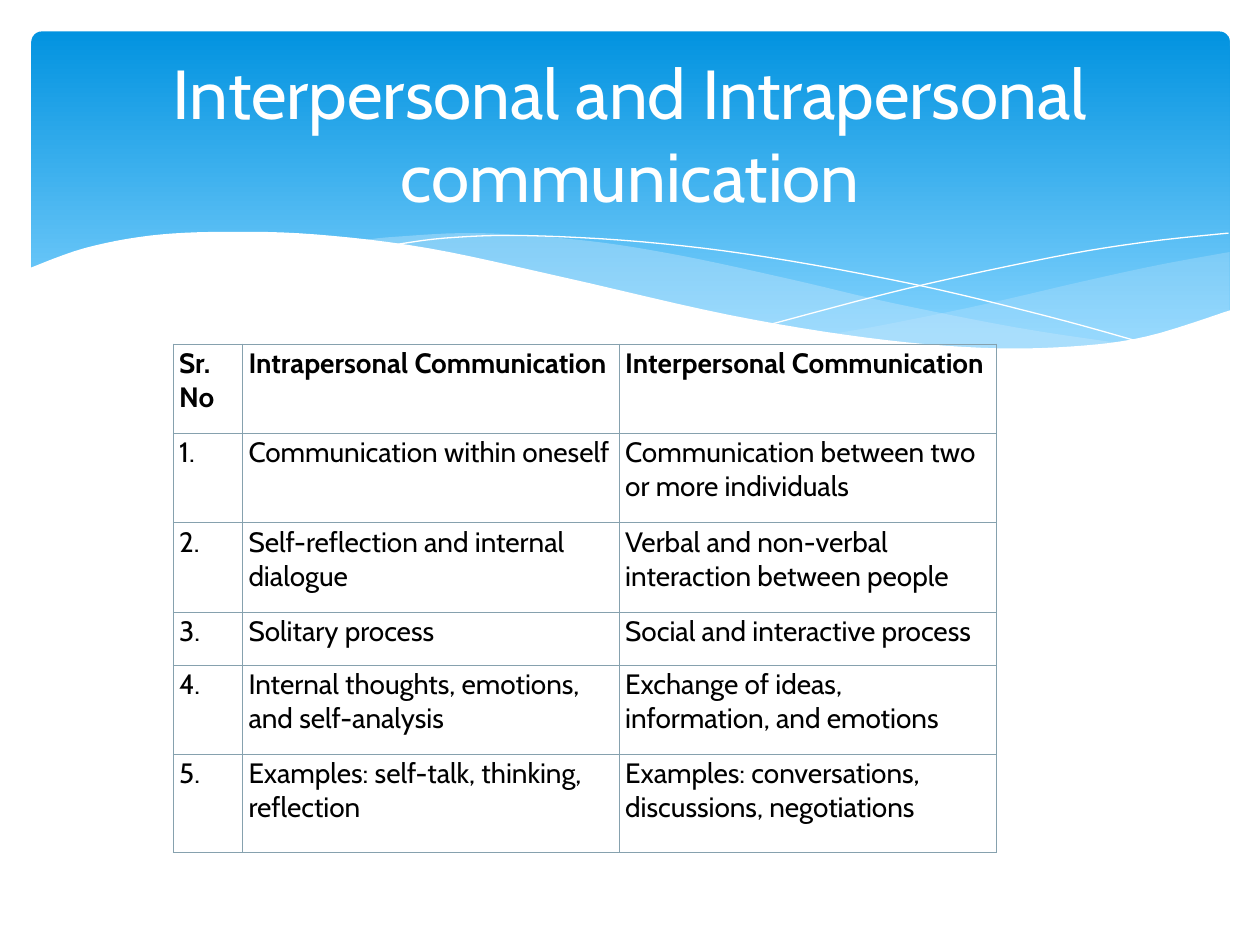
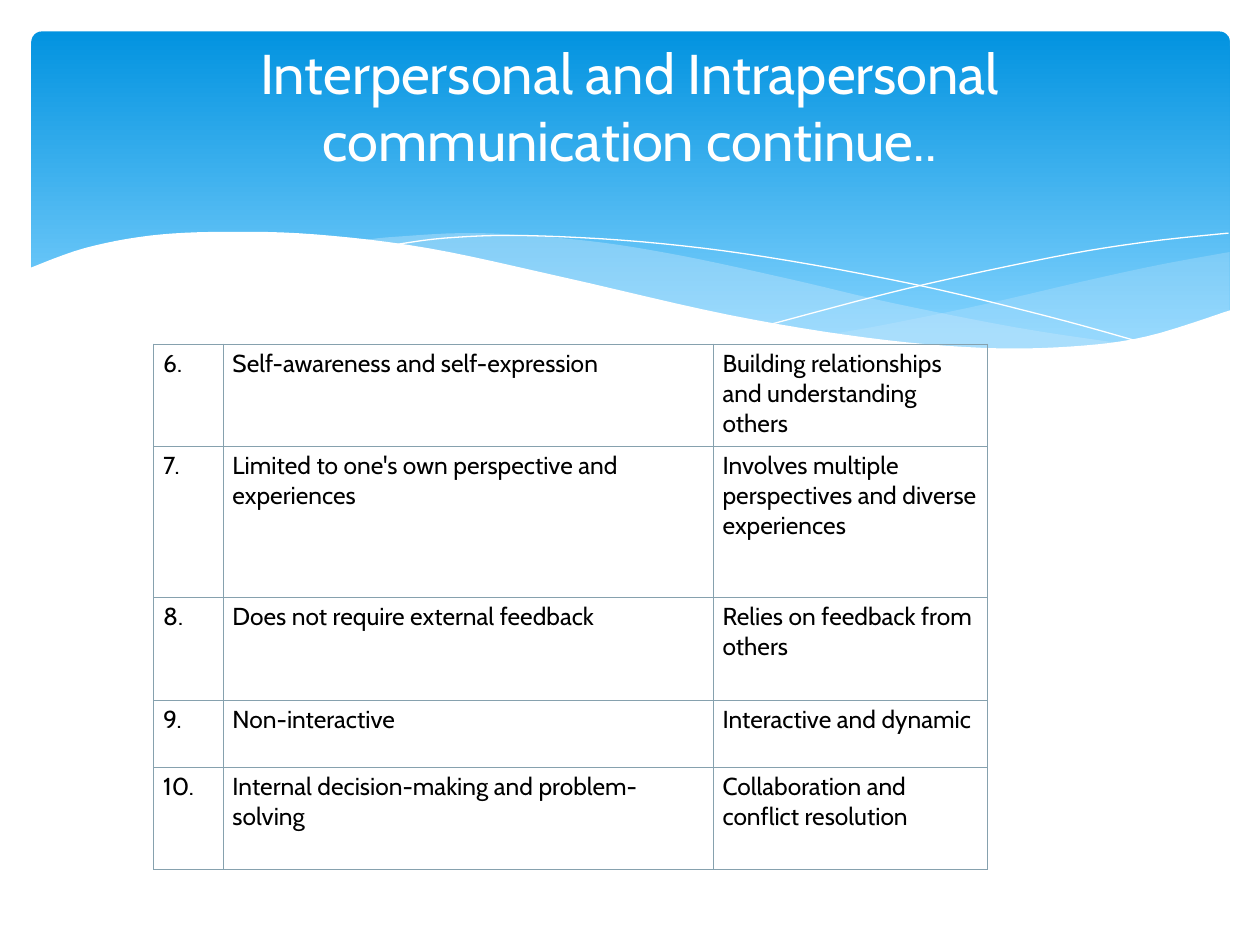
from dataclasses import dataclass

from lxml.etree import SubElement
from pptx import Presentation
from pptx.dml.color import RGBColor as Rgb
from pptx.enum.shapes import MSO_SHAPE as Shape
from pptx.enum.text import MSO_ANCHOR as Anchor, PP_ALIGN as Align
from pptx.oxml.ns import qn
from pptx.util import Emu, Inches, Pt


@dataclass(frozen=True)
class Theme:
    font: str = "Cabin"
    band_top: str = "0293E0"
    band_bottom: str = "83D3FE"
    wave: str = "C6E7FC"
    white: str = "FFFFFF"
    ink: str = "000000"
    border: str = "86A1AE"
    border_width: float = 0.6


theme = Theme()

deck = Presentation()
deck.slide_width, deck.slide_height = Inches(10), Inches(7.5)
# The grid has 40 columns and 30 rows, so its cells are square
UNIT = deck.slide_width / 40


def grid(*counts):
    """Turn counts of grid columns or rows into lengths."""
    return [Emu(round(count * UNIT)) for count in counts]


def smooth(knots, steps=6):
    """Points of a Catmull-Rom curve through the knots."""
    padded = [knots[0], *knots, knots[-1]]
    points = [knots[0]]
    for quad in zip(padded, padded[1:], padded[2:], padded[3:]):
        for step in range(1, steps + 1):
            t = step / steps
            points.append(tuple(
                (2 * b + (c - a) * t + (2 * a - 5 * b + 4 * c - d) * t ** 2
                 + (3 * b - a - 3 * c + d) * t ** 3) / 2
                for a, b, c, d in zip(*quad)))
    return points


# Waves under the band, back to front: edges, fill, opacity in percent.
# A wave without fill is a thin white line.
WAVES = [
    ([[(39.04, 8), (36.84, 8.4), (34.44, 8.92), (31.16, 9.68),
       (28.24, 10.28), (26.44, 10.6)],
      [(26.44, 10.6), (29.28, 10.96), (32.12, 11.12), (34.88, 11),
       (37.12, 10.6), (39.04, 9.88)]], theme.wave, 29),
    ([[(35.72, 10.92), (32.28, 10.4), (28.24, 9.6), (25.16, 8.88),
       (21.64, 8.12), (18.6, 7.64), (15.2, 7.4), (12.52, 7.52), (11.44, 7.64)],
      [(11.44, 7.64), (14.48, 8.12), (17.96, 8.88), (22.64, 9.92),
       (26, 10.56), (28.88, 10.96), (31.4, 11.12), (33.92, 11.08),
       (35.72, 10.92)]], theme.wave, 40),
    ([[(12.36, 7.8), (14.12, 7.56), (16.64, 7.48), (20.4, 7.68),
       (24.32, 8.16), (29.08, 9.04), (33.24, 10.04), (36.28, 10.88)]], None, 100),
    ([[(24.52, 10.28), (28.8, 9.16), (33.44, 8.16), (36.4, 7.68),
       (39, 7.4)]], None, 100),
    ([[(39.08, 9.84), (36.4, 10.68), (34, 11), (31.12, 11.04), (27.52, 10.72),
       (23.16, 10), (17.88, 8.8), (13.6, 7.88), (10, 7.44), (7.08, 7.36),
       (4.76, 7.48), (2.68, 7.88), (0.92, 8.52)],
      [(0.92, 13.16), (39.08, 13.16)]], theme.white, 100),
]

PAGES = [
    dict(
        title="Interpersonal and Intrapersonal communication",
        title_size=39.6, title_height=5.48,
        left=5.5, columns=[2.2, 11.96, 11.96],
        heights=[2.84, 2.84, 2.84, 1.68, 2.84, 3.12],
        size=16, inset_x=0.19, inset_y=0.08, header=True,
        rows=[
            ("Sr. No", "Intrapersonal Communication",
             "Interpersonal Communication"),
            ("1.", "Communication within oneself",
             "Communication between two or more individuals"),
            ("2.", "Self-reflection and internal dialogue",
             "Verbal and non-verbal interaction between people"),
            ("3.", "Solitary process", "Social and interactive process"),
            ("4.", "Internal thoughts, emotions, and self-analysis",
             "Exchange of ideas, information, and emotions"),
            ("5.", "Examples: self-talk, thinking, reflection",
             "Examples: conversations, discussions, negotiations"),
        ]),
    dict(
        title="Interpersonal and Intrapersonal communication continue..",
        title_size=32, title_height=3.76,
        left=4.88, columns=[2.2, 15.56, 8.7],
        heights=[3.24, 4.8, 3.28, 2.12, 3.24],
        size=14, inset_x=0.3, inset_y=0.15, header=False,
        rows=[
            ("6.", "Self-awareness and self-expression",
             "Building relationships and understanding others"),
            ("7.", "Limited to one's own perspective and experiences",
             "Involves multiple perspectives and diverse experiences"),
            ("8.", "Does not require external feedback",
             "Relies on feedback from others"),
            ("9.", "Non-interactive", "Interactive and dynamic"),
            ("10.", "Internal decision-making and problem-solving",
             "Collaboration and conflict resolution"),
        ]),
]

for content in PAGES:
    page = deck.slides.add_slide(deck.slide_layouts[6])

    # Gradient band
    band = page.shapes.add_shape(Shape.ROUNDED_RECTANGLE, *grid(1, 1, 38.04, 10.8))
    band.adjustments[0] = 0.03
    band.shadow.inherit = False
    band.line.fill.background()
    band.fill.gradient()
    band.fill.gradient_angle = 270
    stops = zip(band.fill.gradient_stops, (theme.band_top, theme.band_bottom), (0, 0.9))
    for stop, color, position in stops:
        stop.color.rgb = Rgb.from_string(color)
        stop.position = position

    # Waves
    for edges, fill, opacity in WAVES:
        start, *others = [grid(*point) for edge in edges for point in smooth(edge)]
        builder = page.shapes.build_freeform(*start)
        builder.add_line_segments(others, close=fill is not None)
        wave = builder.convert_to_shape()
        wave.shadow.inherit = False
        if fill:
            wave.fill.solid()
            wave.fill.fore_color.rgb = Rgb.from_string(fill)
            tint = wave.fill._xPr.find(qn("a:solidFill"))[0]
            SubElement(tint, qn("a:alpha"), val=str(opacity * 1000))
            wave.line.fill.background()
        else:
            wave.fill.background()
            wave.line.color.rgb = Rgb.from_string(theme.white)
            wave.line.width = Pt(0)

    # Comparison table
    rows = content["rows"]
    frame = page.shapes.add_table(
        len(rows), 3, *grid(content["left"], 10.92, sum(content["columns"]),
                            sum(content["heights"])))
    table = frame.table
    table.first_row = table.horz_banding = False
    for column, width in zip(table.columns, grid(*content["columns"])):
        column.width = width
    for row, height in zip(table.rows, grid(*content["heights"])):
        row.height = height

    texts = []
    inset_x, inset_y = grid(content["inset_x"], content["inset_y"])
    for row_index, row in enumerate(rows):
        for column_index, text in enumerate(row):
            cell = table.cell(row_index, column_index)
            cell.margin_left = cell.margin_right = inset_x
            cell.margin_top = cell.margin_bottom = inset_y
            properties = cell._tc.get_or_add_tcPr()
            for side in ("a:lnL", "a:lnR", "a:lnT", "a:lnB"):
                border = SubElement(properties, qn(side),
                                    w=str(Pt(theme.border_width)))
                paint = SubElement(border, qn("a:solidFill"))
                SubElement(paint, qn("a:srgbClr"), val=theme.border)
            cell.fill.background()
            bold = content["header"] and row_index == 0
            texts.append((cell.text_frame, text, content["size"], theme.ink,
                          bold, Align.LEFT))

    # Title
    box = page.shapes.add_textbox(*grid(2, 1.48, 36, content["title_height"]))
    box.text_frame.word_wrap = True
    box.text_frame.vertical_anchor = Anchor.MIDDLE
    texts.append((box.text_frame, content["title"], content["title_size"],
                  theme.white, False, Align.CENTER))

    # Text of the table and the title
    for text_frame, text, size, color, bold, align in texts:
        para = text_frame.paragraphs[0]
        para.alignment = align
        span = para.add_run()
        span.text = text
        span.font.name = theme.font
        span.font.size = Pt(size)
        span.font.bold = bold
        span.font.color.rgb = Rgb.from_string(color)

deck.save("out.pptx")
